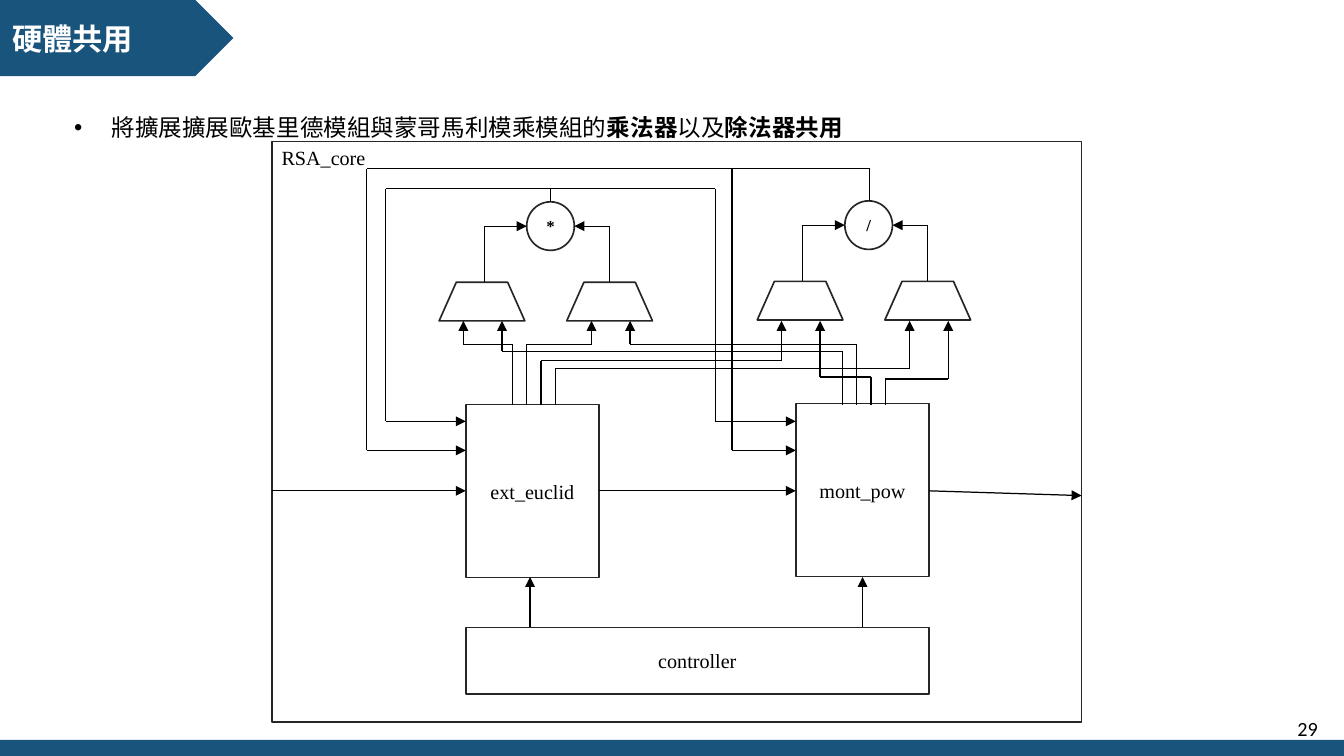
from dataclasses import dataclass

import lxml.etree
import pptx
import pptx.dml.color
import pptx.enum.shapes
import pptx.enum.text
import pptx.oxml.ns
import pptx.util

Cm, Pt = pptx.util.Cm, pptx.util.Pt
SHAPE = pptx.enum.shapes.MSO_SHAPE
ALIGN = pptx.enum.text.PP_ALIGN
ANCHOR = pptx.enum.text.MSO_ANCHOR
qn = pptx.oxml.ns.qn


@dataclass(frozen=True)
class Theme:
    accent: str = "19547C"
    ink: str = "000000"
    outline: str = "262626"
    light: str = "FFFFFF"
    font: str = "Times New Roman"
    number_font: str = "Calibri"
    title_size: float = 18
    body_size: float = 14
    label_size: float = 12
    symbol_size: float = 10
    outline_width: float = 1
    wire_width: float = 0.75


def rgb(code):
    return pptx.dml.color.RGBColor.from_string(code)


class Page:
    def __init__(self, deck, theme):
        self.theme = theme
        self.slide = deck.slides.add_slide(deck.slide_layouts[1])
        self.shapes = self.slide.shapes

    def place(self, item, left, top, width, height):
        item.left, item.top = Cm(left), Cm(top)
        item.width, item.height = Cm(width), Cm(height)

    def style(self, para, size, color=None, bold=False, font=None):
        for span in para.runs:
            span.font.name = font or self.theme.font
            span.font.size = Pt(size)
            span.font.bold = bold
            span.font.color.rgb = rgb(color or self.theme.ink)

    def fill_text(self, box, text, size, align=ALIGN.CENTER, anchor=ANCHOR.MIDDLE, **style):
        frame = box.text_frame
        frame.text = text
        frame.word_wrap = True
        frame.auto_size = pptx.enum.text.MSO_AUTO_SIZE.NONE
        frame.vertical_anchor = anchor
        frame.paragraphs[0].alignment = align
        self.style(frame.paragraphs[0], size, **style)

    def title(self, text, left, top, width, height):
        box = self.shapes.title
        self.place(box, left, top, width, height)
        self.fill_text(box, text, self.theme.title_size, ALIGN.LEFT,
                       color=self.theme.light, bold=True)

    def bullet(self, parts, left, top, width, height, indent):
        box = self.slide.placeholders[1]
        self.place(box, left, top, width, height)
        self.fill_text(box, "", self.theme.body_size, ALIGN.LEFT, ANCHOR.TOP)
        para = box.text_frame.paragraphs[0]
        para.line_spacing = 2.0
        para.space_before = Pt(0)
        props = para._p.get_or_add_pPr()
        props.set("marL", str(Cm(indent)))
        props.set("indent", str(-Cm(indent)))
        lxml.etree.SubElement(props, qn("a:buFont")).set("typeface", "Arial")
        lxml.etree.SubElement(props, qn("a:buChar")).set("char", "•")
        for text, _ in parts:
            para.add_run().text = text
        self.style(para, self.theme.body_size)
        for span, (_, bold) in zip(para.runs, parts):
            span.font.bold = bold

    def label(self, text, left, top, width, height, **options):
        box = self.shapes.add_textbox(Cm(left), Cm(top), Cm(width), Cm(height))
        self.fill_text(box, text, self.theme.label_size, **options)

    def band(self, kind, left, top, width, height):
        shape = self.shapes.add_shape(kind, Cm(left), Cm(top), Cm(width), Cm(height))
        shape.shadow.inherit = False
        shape.fill.solid()
        shape.fill.fore_color.rgb = rgb(self.theme.accent)
        shape.line.fill.background()
        # Bands lie behind the placeholders
        self.shapes._spTree.insert(2, shape._element)

    def block(self, kind, left, top, width, height, text="", size=None, bold=False):
        shape = self.shapes.add_shape(kind, Cm(left), Cm(top), Cm(width), Cm(height))
        shape.shadow.inherit = False
        shape.fill.background()
        shape.line.color.rgb = rgb(self.theme.outline)
        shape.line.width = Pt(self.theme.outline_width)
        if text:
            self.fill_text(shape, text, size or self.theme.label_size, bold=bold)
        return shape

    def wire(self, *points, arrow=True):
        """Join the points with straight segments, the last one with an arrowhead."""
        for start, end in zip(points, points[1:]):
            line = self.shapes.add_connector(
                pptx.enum.shapes.MSO_CONNECTOR.STRAIGHT, *map(Cm, start + end))
            line.line.color.rgb = rgb(self.theme.ink)
            line.line.width = Pt(self.theme.wire_width)
            props = line._element.spPr
            if arrow and end == points[-1]:
                tail = lxml.etree.SubElement(props.find(qn("a:ln")), qn("a:tailEnd"))
                tail.set("type", "triangle")
            lxml.etree.SubElement(props, qn("a:effectLst"))

    def operator(self, symbol, left, top):
        """Draw an arithmetic unit fed by two multiplexers."""
        for offset in (0, 2.68):
            mux = self.block(SHAPE.FLOWCHART_MANUAL_OPERATION, left + offset, top, 1.8, 0.81)
            mux.rotation = 180
        self.block(SHAPE.OVAL, left + 1.84, top - 1.69, 1, 1.02, symbol,
                   self.theme.symbol_size, bold=True)
        for stem, edge in ((0.95, 1.84), (3.58, 2.84)):
            self.wire((left + stem, top), (left + stem, top - 1.18), (left + edge, top - 1.18))


def main():
    deck = pptx.Presentation()
    deck.slide_width, deck.slide_height = Cm(28.22), Cm(15.88)
    page = Page(deck, Theme())

    # Banner, heading and footer
    page.band(SHAPE.PENTAGON, 0, 0, 4.9, 1.6)
    page.title("硬體共用", 0, 0, 4.1, 1.6)
    page.band(SHAPE.RECTANGLE, 0, 15.54, 28.22, 0.34)
    page.bullet([("將擴展擴展歐基里德模組與蒙哥馬利模乘模組的", False), ("乘法器", True),
                 ("以及", False), ("除法器共用", True)], 1.3, 1.65, 25.6, 1.27, 0.79)
    page.label("29", 21.34, 14.88, 6.58, 0.84, align=ALIGN.RIGHT,
               font=page.theme.number_font)

    # Core and its modules
    core_left, core_right = 5.71, 22.71
    euclid_left, pow_left, module_width = 9.78, 16.71, 2.8
    page.block(SHAPE.RECTANGLE, core_left, 2.97, core_right - core_left, 12.2)
    page.label("RSA_core", 5.51, 2.92, 2.57, 0.78)
    page.block(SHAPE.RECTANGLE, euclid_left, 8.5, module_width, 3.63, "ext_euclid")
    page.block(SHAPE.RECTANGLE, pow_left, 8.48, module_width, 3.63, "mont_pow")
    page.block(SHAPE.RECTANGLE, euclid_left, 13.18, 9.73, 1.4, "controller")

    # Shared multiplier and divider
    multiplier, divider = 9.22, 15.9
    page.operator("*", multiplier, 5.93)
    page.operator("/", divider, 5.91)

    # Module outputs to multiplexer inputs: unit, input, bus height
    inputs = (0.51, 1.32, 3.2, 4.01)
    routes = {
        euclid_left: [(multiplier, 0, 7.23), (multiplier, 2, 7.23),
                      (divider, 0, 7.58), (divider, 2, 7.74)],
        pow_left: [(multiplier, 1, 7.38), (multiplier, 3, 7.23),
                   (divider, 1, 7.92), (divider, 3, 7.96)],
    }
    for module, targets in routes.items():
        for index, (unit, port, bus) in enumerate(targets):
            start, end = module + 0.98 + 0.3 * index, unit + inputs[port]
            page.wire((start, 8.5), (start, bus), (end, bus), (end, 6.74))

    # Results back to the modules: output, top, bus, left drop, branch, right drop, entry
    for out, top, bus, left, branch, right, entry in (
            (11.56, 4.24, 3.96, 8.1, 11.56, 15.02, 8.85),
            (18.26, 4.22, 3.54, 7.7, 15.37, 15.37, 9.46)):
        page.wire((out, top), (out, bus), (left, bus), (left, entry), (euclid_left, entry))
        if branch != right:
            page.wire((branch, bus), (right, bus), arrow=False)
        page.wire((right, bus), (right, entry), (pow_left, entry))

    # Data flow and control
    flow = 10.31
    page.wire((core_left, flow), (euclid_left, flow))
    page.wire((euclid_left + module_width, flow), (pow_left, flow))
    page.wire((pow_left + module_width, flow), (core_right, 10.41))
    for control in (11.13, 18.11):
        page.wire((control, 13.18), (control, 12.12))

    deck.save("out.pptx")


if __name__ == "__main__":
    main()
